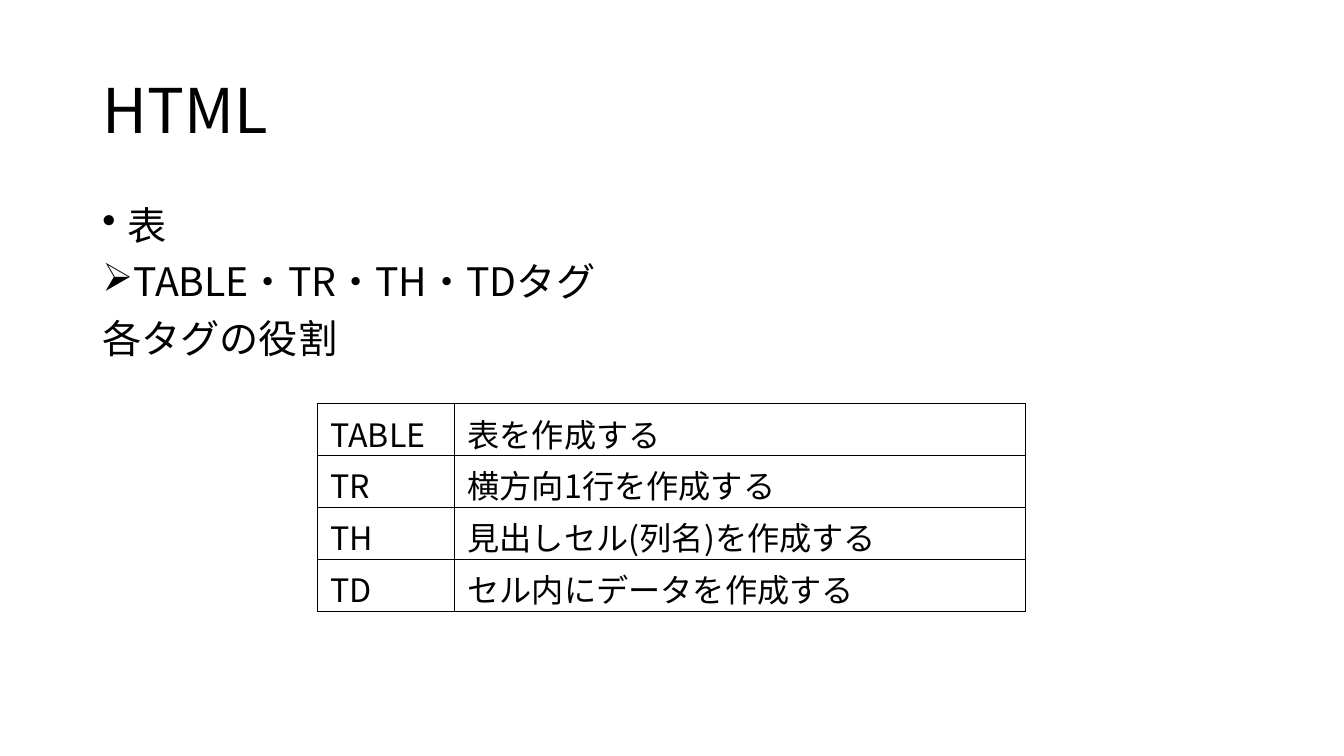
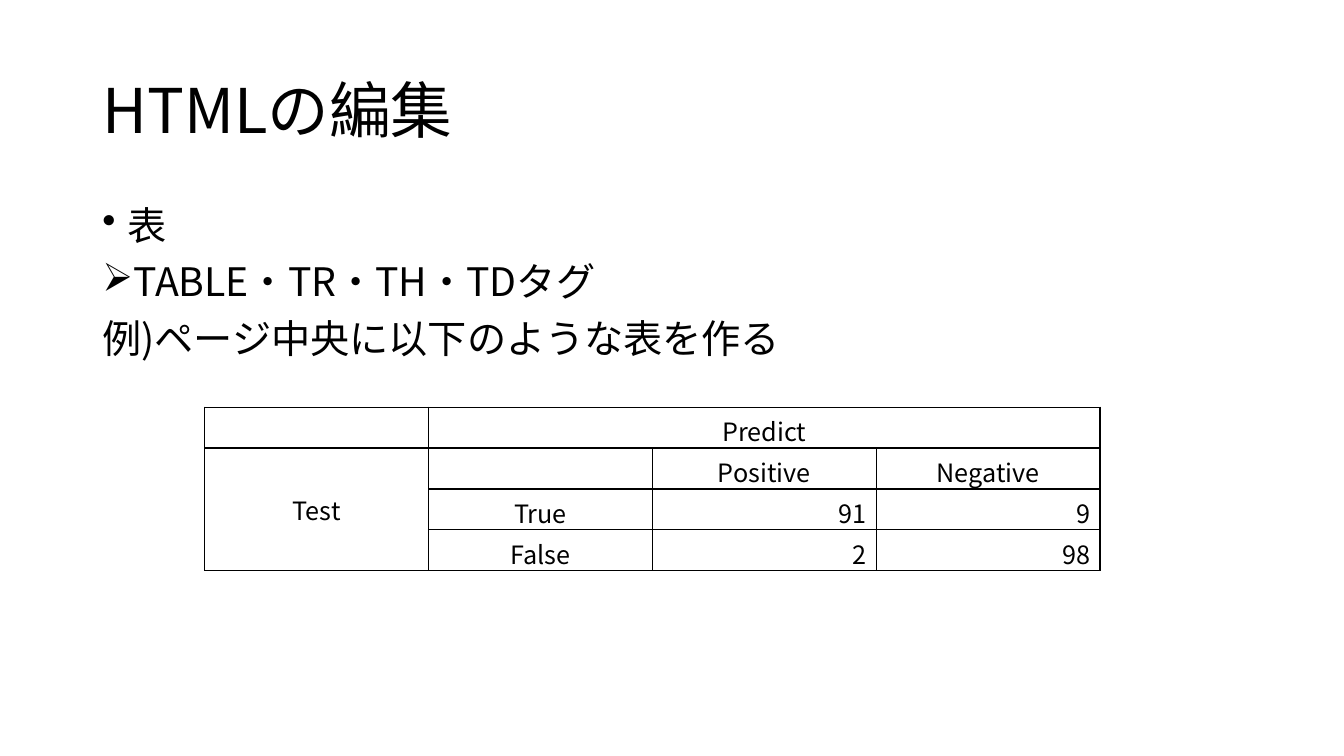
from dataclasses import dataclass

from lxml import etree
from pptx import Presentation
from pptx.dml.color import RGBColor
from pptx.enum import text
from pptx.oxml import ns
from pptx.util import Cm, Pt


@dataclass(frozen=True)
class Theme:
    ink: str = "000000"
    paper: str = "FFFFFF"
    font: str = "Noto Sans CJK JP"
    title: int = 44
    body: int = 28
    border: int = 1


theme = Theme()
LEFT, CENTER, RIGHT = text.PP_ALIGN.LEFT, text.PP_ALIGN.CENTER, text.PP_ALIGN.RIGHT
MIDDLE = text.MSO_ANCHOR.MIDDLE


def add_run(paragraph, words, size):
    """Add one run, with the same font for Latin and Japanese letters."""
    run = paragraph.add_run()
    run.text = words
    run.font.size = Pt(size)
    run.font.name = theme.font
    run.font.color.rgb = RGBColor.from_string(theme.ink)
    east_asian = etree.SubElement(run.font._element, ns.qn("a:ea"))
    east_asian.set("typeface", theme.font)


def add_borders(cell):
    """Draw a thin line on all four sides of a cell."""
    properties = cell._tc.get_or_add_tcPr()
    for position, side in enumerate(("lnL", "lnR", "lnT", "lnB")):
        line = etree.Element(ns.qn(f"a:{side}"), w=str(Pt(theme.border)))
        fill = etree.SubElement(line, ns.qn("a:solidFill"))
        etree.SubElement(fill, ns.qn("a:srgbClr"), val=theme.ink)
        properties.insert(position, line)


# Content: each cell is its text and alignment, each merge is first and last cell
pages = [
    {
        "title": "HTML",
        "task": "各タグの役割",
        "origin": (Cm(8), Cm(10.16)),
        "columns": [Cm(3.45), Cm(14.4)],
        "row": Cm(1.31),
        "size": 23,
        "margins": (Cm(0.33), Cm(0.16)),
        "merges": [],
        "cells": [
            [("TABLE", LEFT), ("表を作成する", LEFT)],
            [("TR", LEFT), ("横方向1行を作成する", LEFT)],
            [("TH", LEFT), ("見出しセル(列名)を作成する", LEFT)],
            [("TD", LEFT), ("セル内にデータを作成する", LEFT)],
        ],
    },
    {
        "title": "HTMLの編集",
        "task": "例)ページ中央に以下のような表を作る",
        "origin": (Cm(5.16), Cm(10.26)),
        "columns": [Cm(5.64)] * 4,
        "row": Cm(1.03),
        "size": 18,
        "margins": (Cm(0.25), Cm(0.13)),
        "merges": [((0, 1), (0, 3)), ((1, 0), (3, 0))],
        "cells": [
            [None, ("Predict", CENTER), None, None],
            [("Test", CENTER), None, ("Positive", CENTER), ("Negative", CENTER)],
            [None, ("True", CENTER), ("91", RIGHT), ("9", RIGHT)],
            [None, ("False", CENTER), ("2", RIGHT), ("98", RIGHT)],
        ],
    },
]

presentation = Presentation()
presentation.slide_width = Cm(33.87)
presentation.slide_height = Cm(19.05)
blank = presentation.slide_layouts[6]
background = presentation.slide_master.background.fill
background.solid()
background.fore_color.rgb = RGBColor.from_string(theme.paper)

for page in pages:
    slide = presentation.slides.add_slide(blank)

    # Title
    title = slide.shapes.add_textbox(Cm(2.33), Cm(1.01), Cm(29.21), Cm(3.68)).text_frame
    title.word_wrap = True
    title.vertical_anchor = MIDDLE
    title.paragraphs[0].line_spacing = 0.9
    add_run(title.paragraphs[0], page["title"], theme.title)

    # Bulleted topic and the task below it
    body = slide.shapes.add_textbox(Cm(2.33), Cm(5.08), Cm(29.21), Cm(12.09)).text_frame
    body.word_wrap = True
    lines = [("•", "表"), ("➢", "TABLE・TR・TH・TDタグ"), (None, page["task"])]
    for index, (bullet, words) in enumerate(lines):
        paragraph = body.add_paragraph() if index else body.paragraphs[0]
        paragraph.line_spacing = 0.9
        paragraph.space_before = Pt(10)
        if bullet:
            properties = paragraph._p.get_or_add_pPr()
            properties.set("marL", str(Cm(0.64)))
            properties.set("indent", str(-Cm(0.64)))
            etree.SubElement(properties, ns.qn("a:buChar"), char=bullet)
        add_run(paragraph, words, theme.body)

    # Table
    rows, columns = page["cells"], page["columns"]
    table = slide.shapes.add_table(
        len(rows), len(columns), *page["origin"], sum(columns), page["row"] * len(rows)
    ).table
    table.first_row = table.horz_banding = False
    for column, width in zip(table.columns, columns):
        column.width = width
    for row in table.rows:
        row.height = page["row"]
    for first, last in page["merges"]:
        table.cell(*first).merge(table.cell(*last))
    side_margin, end_margin = page["margins"]
    for row_index, row in enumerate(rows):
        for column_index, content in enumerate(row):
            cell = table.cell(row_index, column_index)
            cell.margin_left = cell.margin_right = side_margin
            cell.margin_top = cell.margin_bottom = end_margin
            cell.fill.background()
            add_borders(cell)
            if cell.is_merge_origin and cell.span_height > 1:
                cell.vertical_anchor = MIDDLE
            if content:
                words, alignment = content
                paragraph = cell.text_frame.paragraphs[0]
                paragraph.alignment = alignment
                add_run(paragraph, words, page["size"])

presentation.save("out.pptx")
